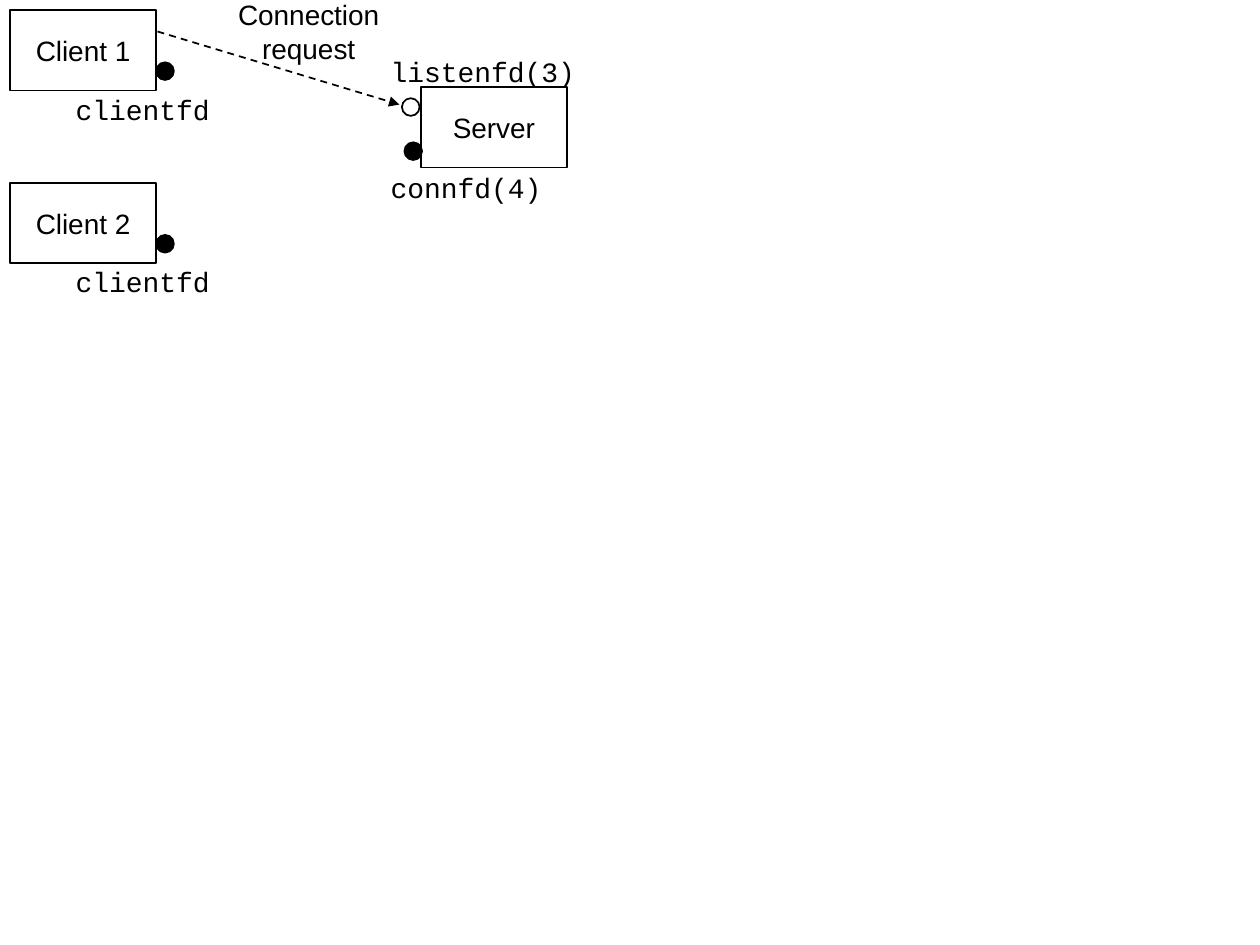
"""Draw two clients and a server with their socket descriptors."""
from dataclasses import dataclass

from lxml.etree import SubElement
from pptx import Presentation
from pptx.dml.color import RGBColor
from pptx.enum.dml import MSO_LINE
from pptx.enum.shapes import MSO_CONNECTOR, MSO_SHAPE
from pptx.enum.text import MSO_ANCHOR, MSO_AUTO_SIZE, PP_ALIGN
from pptx.oxml.ns import qn
from pptx.util import Inches, Pt

COLORS = {"ink": "000000", "paper": "FFFFFF"}
SANS, MONO = "Arial", "Courier New"
COLUMNS, ROWS = 100, 75
HOST_SIZE = (11.6, 6.4)
DOT_SIZE = (1.4, 1.4)
LABEL_HEIGHT = 3.7
CHAR_WIDTH, LABEL_PADDING = 1.33, 2


@dataclass(frozen=True)
class Socket:
    descriptor: str
    dot: tuple[float, float]
    label: tuple[float, float]
    fill: str = "ink"
    in_front: bool = False


@dataclass(frozen=True)
class Host:
    name: str
    left: float
    top: float
    sockets: tuple[Socket, ...]


CLIENT_SOCKETS = (Socket("clientfd", (11.6, 4.15), (4.2, 6)),)
SERVER_SOCKETS = (
    Socket("connfd(4)", (-1.3, 4.4), (-3.4, 6.1), in_front=True),
    Socket("listenfd(3)", (-1.5, 0.9), (-3.4, -3.1), fill="paper"),
)
HOSTS = (
    Host("Client 2", 0.8, 14.5, CLIENT_SOCKETS),
    Host("Client 1", 0.8, 0.8, CLIENT_SOCKETS),
    Host("Server", 33.4, 6.9, SERVER_SOCKETS),
)

deck = Presentation()
deck.slide_width, deck.slide_height = Inches(10), Inches(7.5)
slide = deck.slides.add_slide(deck.slide_layouts[6])


def color(key: str) -> RGBColor:
    return RGBColor.from_string(COLORS[key])


def place(column: float, row: float) -> tuple[int, int]:
    return (round(deck.slide_width * column / COLUMNS),
            round(deck.slide_height * row / ROWS))


def write(frame, text: str, font: str) -> None:
    frame.text = text
    frame.word_wrap = False
    frame.vertical_anchor = MSO_ANCHOR.MIDDLE
    for paragraph in frame.paragraphs:
        paragraph.alignment = PP_ALIGN.CENTER
        for run in paragraph.runs:
            run.font.name, run.font.size = font, Pt(16)
            run.font.color.rgb = color("ink")


def outlined(kind, corner: tuple, size: tuple, fill: str):
    shape = slide.shapes.add_shape(kind, *place(*corner), *place(*size))
    shape.shadow.inherit = False
    shape.fill.solid()
    shape.fill.fore_color.rgb = color(fill)
    shape.line.color.rgb = color("ink")
    shape.line.width = Pt(1)
    return shape


def label(text: str, corner: tuple, size: tuple, font: str) -> None:
    frame = slide.shapes.add_textbox(*place(*corner), *place(*size)).text_frame
    write(frame, text, font)
    frame.auto_size = MSO_AUTO_SIZE.SHAPE_TO_FIT_TEXT


def draw_dots(host: Host, in_front: bool) -> None:
    for socket in host.sockets:
        if socket.in_front == in_front:
            corner = (host.left + socket.dot[0], host.top + socket.dot[1])
            outlined(MSO_SHAPE.OVAL, corner, DOT_SIZE, socket.fill)


def draw_host(host: Host) -> None:
    draw_dots(host, in_front=False)
    box = outlined(MSO_SHAPE.RECTANGLE, (host.left, host.top), HOST_SIZE, "paper")
    write(box.text_frame, host.name, SANS)
    draw_dots(host, in_front=True)
    for socket in host.sockets:
        corner = (host.left + socket.label[0], host.top + socket.label[1])
        width = CHAR_WIDTH * len(socket.descriptor) + LABEL_PADDING
        label(socket.descriptor, corner, (width, LABEL_HEIGHT), MONO)


def draw_request(start: tuple, end: tuple) -> None:
    request = slide.shapes.add_connector(
        MSO_CONNECTOR.STRAIGHT, *place(*start), *place(*end))
    request.line.color.rgb = color("ink")
    request.line.width = Pt(1)
    request.line.dash_style = MSO_LINE.DASH
    SubElement(request.line._get_or_add_ln(), qn("a:tailEnd"), type="triangle")
    SubElement(request._element.spPr, qn("a:effectLst"))


for host in HOSTS:
    draw_host(host)
draw_request((12.5, 2.5), (31.7, 8.3))
label("Connection\nrequest", (17.6, -0.7), (13.8, 6.4), SANS)
deck.save("out.pptx")
